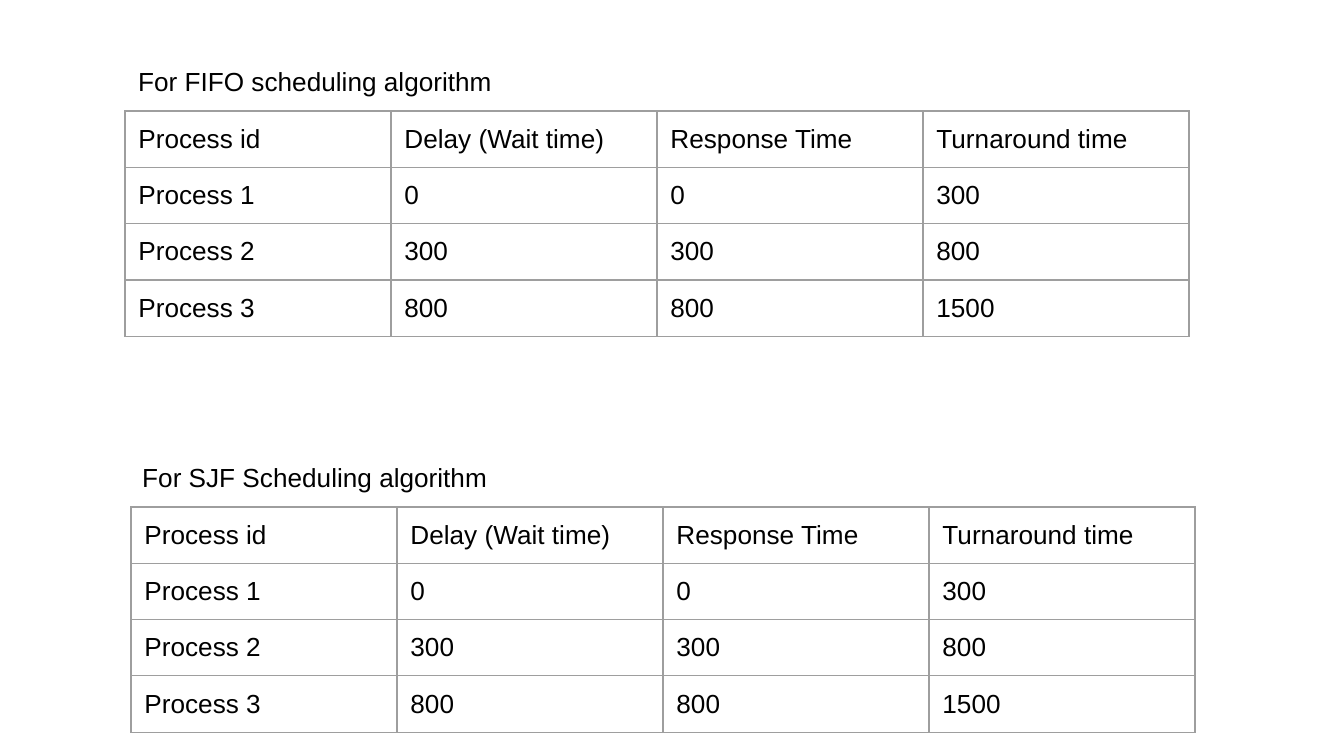
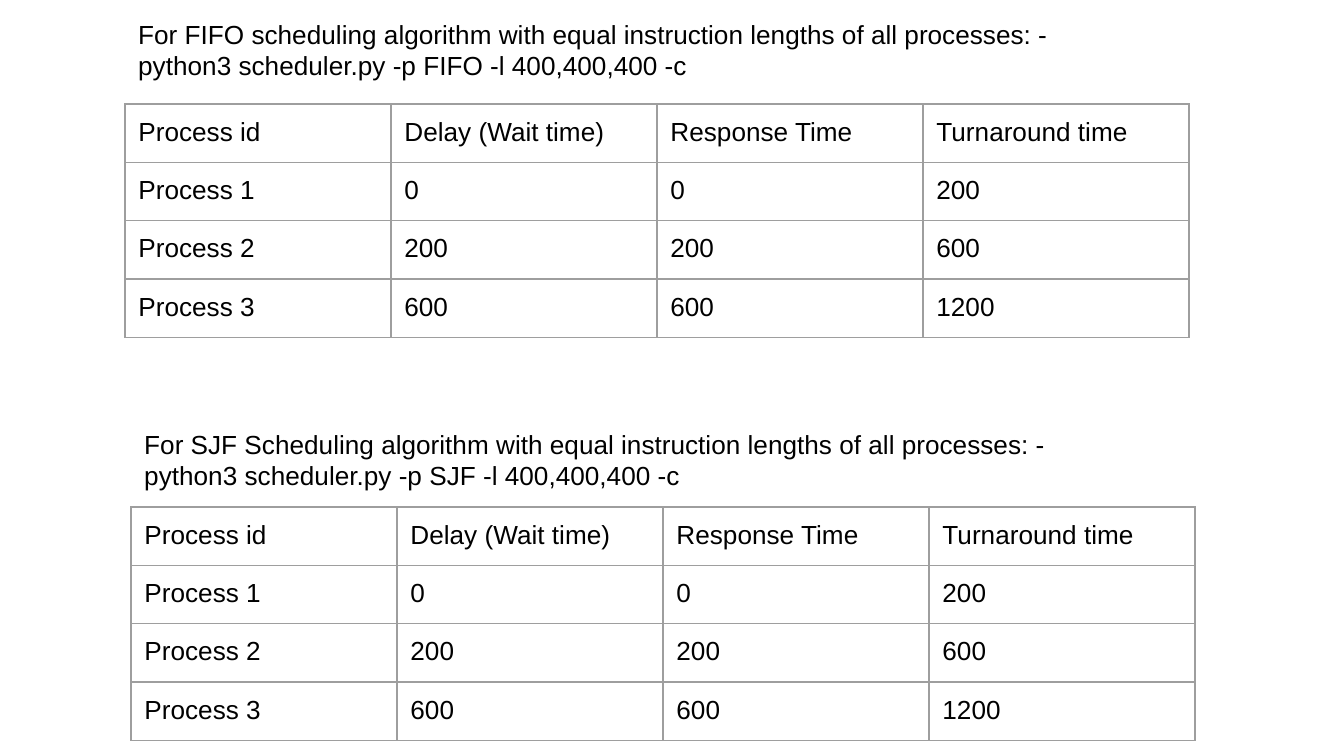
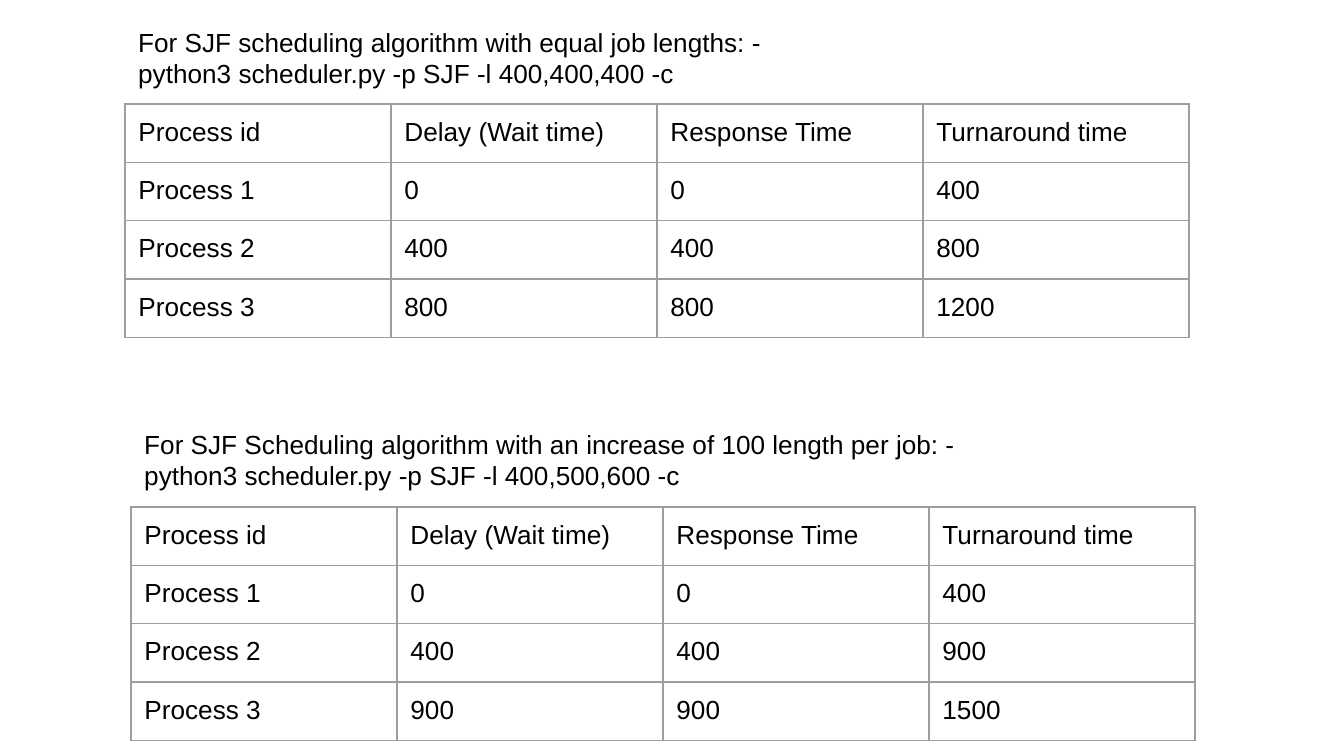
from itertools import product

from lxml import etree
from pptx import Presentation
from pptx import util as u
from pptx.dml.color import RGBColor
from pptx.enum import text
from pptx.oxml.ns import qn

HEADERS = ["Process id", "Delay (Wait time)", "Response Time", "Turnaround time"]

# Each section: caption lines, caption (left, top, width), table (left, top),
# and the turnaround time of each process.
SLIDES = [
    [
        (["For FIFO scheduling algorithm"],
         (125, 52, 814), (125, 111), [300, 800, 1500]),
        (["For SJF Scheduling algorithm"],
         (129, 448, 867), (131, 507), [300, 800, 1500]),
    ],
    [
        (["For FIFO scheduling algorithm with equal instruction lengths of all processes: -",
          "python3 scheduler.py -p FIFO -l 400,400,400 -c"],
         (125, 5, 1016), (125, 104), [200, 600, 1200]),
        (["For SJF Scheduling algorithm with equal instruction lengths of all processes: -",
          "python3 scheduler.py -p SJF -l 400,400,400 -c"],
         (131, 415, 1058), (131, 507), [200, 600, 1200]),
    ],
    [
        (["For SJF scheduling algorithm with equal job lengths: -",
          "python3 scheduler.py -p SJF -l 400,400,400 -c"],
         (125, 13, 814), (125, 104), [400, 800, 1200]),
        (["For SJF Scheduling algorithm with an increase of 100 length per job: -",
          "python3 scheduler.py -p SJF -l 400,500,600 -c"],
         (131, 415, 867), (131, 507), [400, 900, 1500]),
    ],
]

FONT, FONT_SIZE = "Arial", 14
INK, GRID, PAPER = "000000", "9E9E9E", "FFFFFF"
SLIDE_WIDTH, SLIDE_HEIGHT = 1344, 756
COLUMN_WIDTH, ROW_HEIGHT = 266, 56
LINE_HEIGHT = 31


def px(length):
    return u.Emu(round(length * 914400 / 134.4))


INSET = u.Inches(0.1)


def color(hex_string):
    return RGBColor.from_string(hex_string)


def write(frame, lines):
    frame.text = "\n".join(lines)
    for paragraph in frame.paragraphs:
        for run in paragraph.runs:
            run.font.name = FONT
            run.font.size = u.Pt(FONT_SIZE)
            run.font.bold = False
            run.font.color.rgb = color(INK)


def set_margins(target):
    target.margin_left = target.margin_right = INSET
    target.margin_top = target.margin_bottom = INSET


def add_caption(slide, lines, left, top, width):
    height = 28 + LINE_HEIGHT * len(lines)
    box = slide.shapes.add_textbox(px(left), px(top), px(width), px(height))
    frame = box.text_frame
    frame.word_wrap = True
    frame.auto_size = text.MSO_AUTO_SIZE.SHAPE_TO_FIT_TEXT
    set_margins(frame)
    write(frame, lines)


def outline(cell):
    """Draw a thin grid line on all four sides of the cell."""
    properties = cell._tc.get_or_add_tcPr()
    for position, side in enumerate(("a:lnL", "a:lnR", "a:lnT", "a:lnB")):
        line = etree.Element(qn(side), w=str(u.Pt(0.75)))
        fill = etree.SubElement(line, qn("a:solidFill"))
        etree.SubElement(fill, qn("a:srgbClr"), val=GRID)
        properties.insert(position, line)


def timing_rows(turnarounds):
    """Each process waits until the one before it has finished."""
    waits = [0] + turnarounds[:-1]
    return [[f"Process {number}", str(wait), str(wait), str(turnaround)]
            for number, (wait, turnaround) in enumerate(zip(waits, turnarounds), 1)]


def add_timing_table(slide, left, top, turnarounds):
    rows = [HEADERS] + timing_rows(turnarounds)
    table = slide.shapes.add_table(
        len(rows), len(HEADERS), px(left), px(top),
        px(COLUMN_WIDTH * len(HEADERS)), px(ROW_HEIGHT * len(rows))).table
    table.first_row = table.horz_banding = False
    for row, column in product(range(len(rows)), range(len(HEADERS))):
        cell = table.cell(row, column)
        cell.fill.background()
        set_margins(cell)
        outline(cell)
        write(cell.text_frame, [rows[row][column]])


def main():
    presentation = Presentation()
    presentation.slide_width = px(SLIDE_WIDTH)
    presentation.slide_height = px(SLIDE_HEIGHT)
    for sections in SLIDES:
        slide = presentation.slides.add_slide(presentation.slide_layouts[6])
        slide.background.fill.solid()
        slide.background.fill.fore_color.rgb = color(PAPER)
        for _, _, table_place, turnarounds in sections:
            add_timing_table(slide, *table_place, turnarounds)
        for lines, caption_place, _, _ in sections:
            add_caption(slide, lines, *caption_place)
    presentation.save("out.pptx")


if __name__ == "__main__":
    main()
